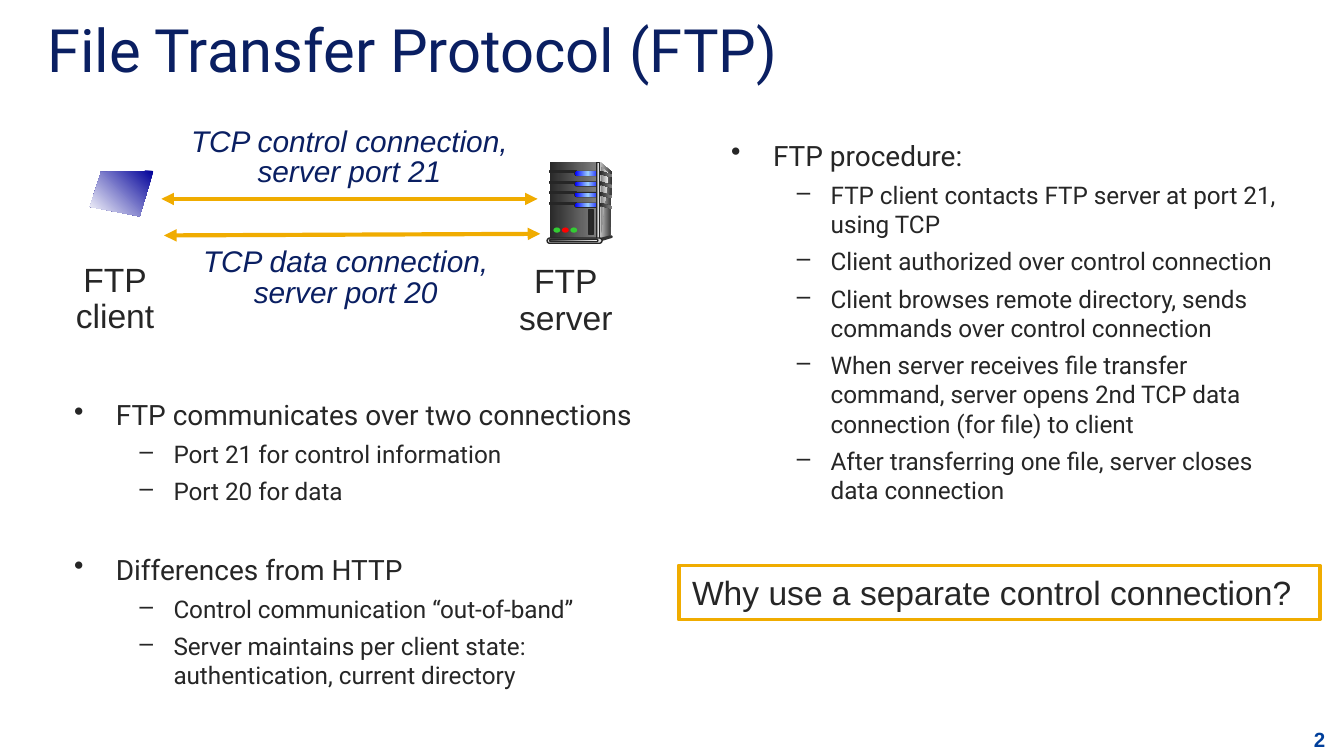
from dataclasses import dataclass

from lxml import etree
from pptx import Presentation
from pptx.dml.color import RGBColor
from pptx.enum.shapes import MSO_CONNECTOR, MSO_SHAPE
from pptx.enum.text import MSO_ANCHOR, PP_ALIGN
from pptx.oxml.ns import qn
from pptx.util import Cm, Pt

RECTANGLE = MSO_SHAPE.RECTANGLE
ROUNDED = MSO_SHAPE.ROUNDED_RECTANGLE
OVAL = MSO_SHAPE.OVAL
STRAIGHT = MSO_CONNECTOR.STRAIGHT
LEFT, CENTER, RIGHT = PP_ALIGN.LEFT, PP_ALIGN.CENTER, PP_ALIGN.RIGHT
TOP, MIDDLE = MSO_ANCHOR.TOP, MSO_ANCHOR.MIDDLE


@dataclass(frozen=True)
class Theme:
    heading_font: str = "Roboto"
    label_font: str = "Arial"
    navy: str = "0A1F62"
    blue: str = "003F9B"
    ink: str = "262626"
    gold: str = "F0AC00"
    white: str = "FFFFFF"
    charcoal: str = "333333"
    silver: str = "DDDDDD"
    green: str = "33CC33"
    red: str = "FF0000"
    metal: tuple = ("292929", "808080")
    side: tuple = ("DDDDDD", "333333")
    panel: tuple = ("808080", "F8F8F8")
    edge: tuple = ("333333", "DDDDDD", "333333")
    light: tuple = ("0000FF", "99CCFF", "0000FF")
    base: tuple = ("3B3B3B", "F2F2F2")
    screen: tuple = ("000099", "FFFFFF")
    title_size: float = 32
    label_size: float = 18
    connection_size: float = 16
    item_size: float = 15
    subitem_size: float = 13
    number_size: float = 11


THEME = Theme()

PROCEDURE = [
    (0, "FTP procedure:"),
    (1, "FTP client contacts FTP server at port 21, using TCP"),
    (1, "Client authorized over control connection"),
    (1, "Client browses remote directory, sends commands over control connection"),
    (1, "When server receives file transfer command, server opens 2nd TCP data "
        "connection (for file) to client"),
    (1, "After transferring one file, server closes data connection"),
]
CONNECTIONS = [
    (0, "FTP communicates over two connections"),
    (1, "Port 21 for control information"),
    (1, "Port 20 for data"),
    (0, "Differences from HTTP"),
    (1, "Control communication “out-of-band”"),
    (1, "Server maintains per client state: authentication, current directory"),
]


def color(value):
    return RGBColor.from_string(value)


def format_paragraph(paragraph, font, size, ink, bold=False, italic=False):
    for run in paragraph.runs:
        run.font.name = font
        run.font.size = Pt(size)
        run.font.color.rgb = color(ink)
        run.font.bold = bold
        run.font.italic = italic


def paint(shape, fill, line=None, width=0.75, angle=0):
    shape.shadow.inherit = False
    if isinstance(fill, tuple):
        shape.fill.gradient()
        shape.fill.gradient_angle = angle
        stops = shape.element.spPr.find(".//" + qn("a:gsLst"))
        for stop in list(stops):
            stops.remove(stop)
        for index, value in enumerate(fill):
            position = str(100000 * index // (len(fill) - 1))
            stop = etree.SubElement(stops, qn("a:gs"), pos=position)
            etree.SubElement(stop, qn("a:srgbClr"), val=value)
    else:
        shape.fill.solid()
        shape.fill.fore_color.rgb = color(fill)
    if line:
        shape.line.color.rgb = color(line)
        shape.line.width = Pt(width)
    else:
        shape.line.fill.background()


def add_box(slide, kind, left, top, width, height, fill, line=None, line_width=0.75):
    shape = slide.shapes.add_shape(kind, Cm(left), Cm(top), Cm(width), Cm(height))
    if kind == ROUNDED:
        shape.adjustments[0] = 0.5
    paint(shape, fill, line, line_width)
    return shape


def add_outline(slide, points, fill, angle=0):
    corners = [(Cm(x), Cm(y)) for x, y in points]
    builder = slide.shapes.build_freeform(*corners[0], scale=1.0)
    builder.add_line_segments(corners[1:], close=True)
    paint(builder.convert_to_shape(), fill, angle=angle)


def add_frame(slide, left, top, width, height):
    box = slide.shapes.add_textbox(Cm(left), Cm(top), Cm(width), Cm(height))
    box.text_frame.word_wrap = True
    return box.text_frame


def add_text(slide, place, text, font, size, ink, align=LEFT, anchor=TOP,
             spacing=None, bold=False, italic=False):
    frame = add_frame(slide, *place)
    frame.vertical_anchor = anchor
    frame.text = text
    for paragraph in frame.paragraphs:
        paragraph.alignment = align
        if spacing:
            paragraph.line_spacing = spacing
        format_paragraph(paragraph, font, size, ink, bold, italic)


def add_bullet(paragraph, level):
    margin, indent, mark = [(0.97, -0.79, "•"), (2.06, -0.64, "–")][level]
    properties = paragraph._p.get_or_add_pPr()
    properties.set("marL", str(Cm(margin)))
    properties.set("indent", str(Cm(indent)))
    bullet_color = etree.SubElement(properties, qn("a:buClr"))
    etree.SubElement(bullet_color, qn("a:srgbClr"), val=THEME.ink)
    etree.SubElement(properties, qn("a:buChar"), char=mark)


def add_bullets(slide, place, items):
    frame = add_frame(slide, *place)
    frame.text = "\n".join(text for _, text in items)
    for index, (level, _) in enumerate(items):
        paragraph = frame.paragraphs[index]
        paragraph.level = level
        add_bullet(paragraph, level)
        if index:
            paragraph.space_before = Pt(4.4 if level else 24.8)
        size = THEME.subitem_size if level else THEME.item_size
        format_paragraph(paragraph, THEME.heading_font, size, THEME.ink)


def add_double_arrow(slide, left, start_y, right, end_y):
    arrow = slide.shapes.add_connector(
        STRAIGHT, Cm(left), Cm(start_y), Cm(right), Cm(end_y))
    arrow.line.color.rgb = color(THEME.gold)
    arrow.line.width = Pt(2.25)
    line = arrow.line._get_or_add_ln()
    for end in ("a:headEnd", "a:tailEnd"):
        etree.SubElement(line, qn(end), type="triangle")
    etree.SubElement(arrow.element.spPr, qn("a:effectLst"))


def add_server(slide):
    add_outline(slide, [(11.35, 3.07), (11.56, 3.25), (11.53, 4.45), (11.3, 4.52)], THEME.side)
    add_box(slide, RECTANGLE, 10.39, 3.07, 0.91, 1.45, THEME.metal)
    add_outline(slide, [(11.35, 3.15), (11.51, 3.28), (11.42, 3.9), (11.35, 4.47)], THEME.panel)
    for row in range(4):
        top = 3.23 + 0.2 * row
        add_box(slide, RECTANGLE, 10.39, top, 0.51, 0.03, THEME.ink, THEME.ink)
        add_box(slide, ROUNDED, 10.85, top, 0.51, 0.1, THEME.ink)
        add_box(slide, ROUNDED, 10.87, top + 0.01, 0.48, 0.08, THEME.light)
        vent = [(11.34, top), (11.56, top + 0.07), (11.56, top + 0.12), (11.34, top + 0.06)]
        add_outline(slide, vent, THEME.metal)
    add_box(slide, RECTANGLE, 11.28, 3.07, 0.05, 1.45, THEME.edge, THEME.ink)
    add_box(slide, OVAL, 11.53, 4.45, 0.05, 0.05, THEME.charcoal)
    add_outline(slide, [(11.33, 4.5), (11.33, 4.57), (11.56, 4.5), (11.53, 4.45)], THEME.charcoal)
    add_box(slide, ROUNDED, 10.34, 4.5, 1.04, 0.1, THEME.silver, THEME.ink)
    add_box(slide, ROUNDED, 10.39, 4.52, 0.91, 0.05, THEME.base, THEME.ink)
    for index, lamp in enumerate((THEME.green, THEME.red, THEME.green)):
        add_box(slide, OVAL, 10.46 + 0.16 * index, 4.3, 0.13, 0.1, lamp)
    add_box(slide, RECTANGLE, 11.13, 3.96, 0.08, 0.48, THEME.metal[0], THEME.ink)


def add_diagram(slide):
    for place, text in (((1.17, 4.85, 2.01, 1.65), "FTP\nclient"),
                        ((9.55, 4.88, 2.29, 1.65), "FTP\nserver")):
        add_text(slide, place, text, THEME.label_font, THEME.label_size, THEME.ink,
                 CENTER, spacing=0.9)
    add_double_arrow(slide, 3.05, 3.76, 10.16, 3.76)
    add_double_arrow(slide, 3.1, 4.45, 10.21, 4.42)
    for left, top, text in ((3.25, 2.29, "TCP control connection,\nserver port 21"),
                            (3.18, 4.57, "TCP data connection,\nserver port 20")):
        add_text(slide, (left, top, 6.71, 1.42), text, THEME.label_font,
                 THEME.connection_size, THEME.navy, CENTER, spacing=0.85, italic=True)
    add_server(slide)
    client = [(2.9, 3.23), (1.91, 3.25), (1.7, 3.91), (2.64, 4.09)]
    add_outline(slide, client, THEME.screen, angle=225)


def add_question(slide):
    box = add_box(slide, RECTANGLE, 12.83, 10.69, 12.12, 1.02, THEME.white, THEME.gold, 2)
    frame = box.text_frame
    frame.word_wrap = True
    frame.vertical_anchor = TOP
    frame.text = "Why use a separate control connection?"
    frame.paragraphs[0].alignment = LEFT
    format_paragraph(frame.paragraphs[0], THEME.label_font, THEME.label_size, THEME.ink)


def main():
    presentation = Presentation()
    presentation.slide_width, presentation.slide_height = Cm(25.4), Cm(14.29)
    slide = presentation.slides.add_slide(presentation.slide_layouts[6])
    add_text(slide, (23.6, 13.61, 1.7, 0.74), "2", THEME.label_font,
             THEME.number_size, THEME.blue, RIGHT, bold=True)
    add_text(slide, (0.64, 0.15, 18.42, 1.52), "File Transfer Protocol (FTP)",
             THEME.heading_font, THEME.title_size, THEME.navy, anchor=MIDDLE)
    add_bullets(slide, (13.39, 2.49, 11.43, 10.8), PROCEDURE)
    add_bullets(slide, (0.97, 7.39, 11.43, 5.89), CONNECTIONS)
    add_diagram(slide)
    add_question(slide)
    presentation.save("out.pptx")


if __name__ == "__main__":
    main()
